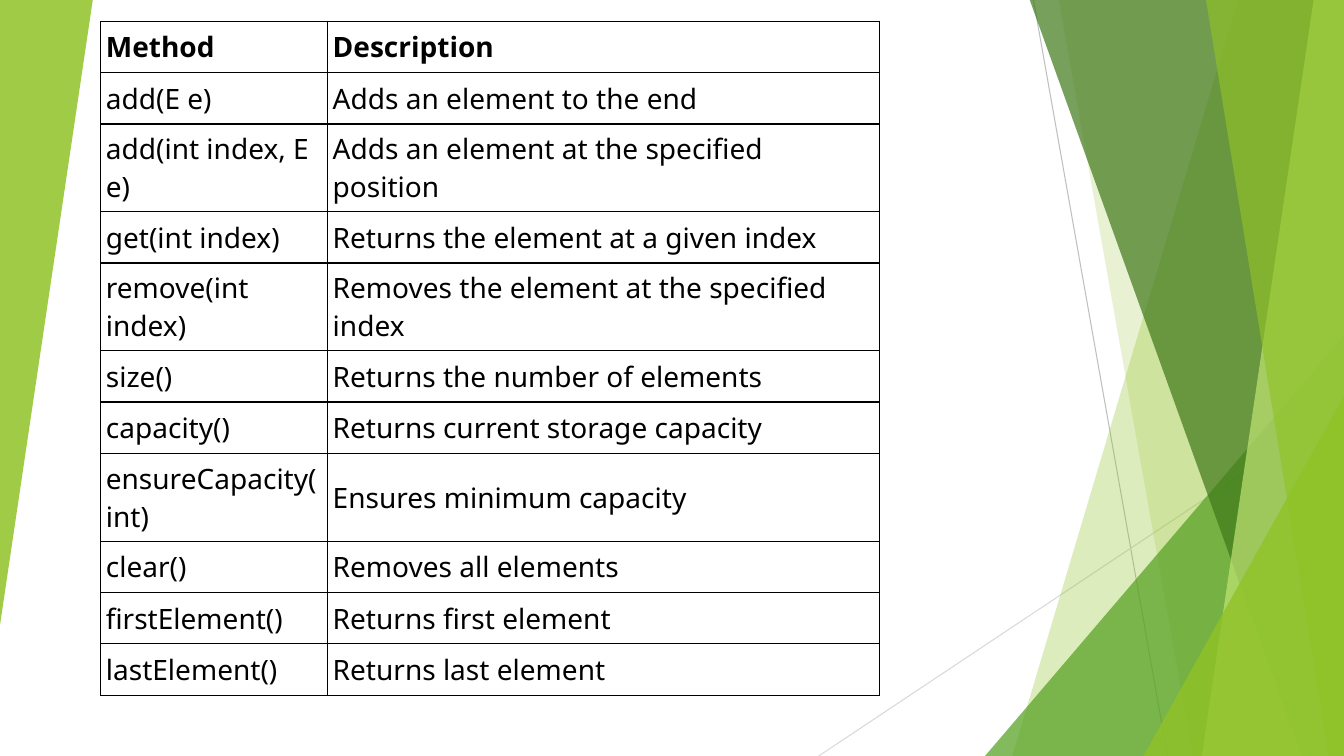
from dataclasses import dataclass

from lxml.etree import SubElement
from pptx import Presentation
from pptx.dml.color import RGBColor
from pptx.enum.shapes import MSO_CONNECTOR, MSO_SHAPE
from pptx.enum.text import MSO_ANCHOR
from pptx.oxml.ns import qn
from pptx.util import Pt

EMU_PER_PX = 9144
WIDTH, HEIGHT = 1333, 750


@dataclass(frozen=True)
class Theme:
    font: str = "Noto Sans"
    text_size: int = 20
    border_width: int = 1
    line_width: float = 0.75
    text: str = "000000"
    lime: str = "90C226"
    green: str = "54A021"
    forest: str = "3F7819"
    pale: str = "C0E474"
    gray: str = "BFBFBF"
    light_gray: str = "D9D9D9"


THEME = Theme()

METHODS = [
    ("Method", "Description"),
    ("add(E e)", "Adds an element to the end"),
    ("add(int index, E e)", "Adds an element at the specified position"),
    ("get(int index)", "Returns the element at a given index"),
    ("remove(int index)", "Removes the element at the specified index"),
    ("size()", "Returns the number of elements"),
    ("capacity()", "Returns current storage capacity"),
    ("ensureCapacity(int)", "Ensures minimum capacity"),
    ("clear()", "Removes all elements"),
    ("firstElement()", "Returns first element"),
    ("lastElement()", "Returns last element"),
]
COLUMN_WIDTHS = (225, 547)
ROW_HEIGHT, TALL_ROW_HEIGHT = 51, 87
TALL_ROWS = (2, 4, 7)


def px(*lengths):
    return [length * EMU_PER_PX for length in lengths]


def set_attributes(target, values):
    for name, value in values.items():
        setattr(target, name, value)


def paint(shape, color, opacity):
    shape.shadow.inherit = False
    shape.line.fill.background()
    shape.fill.solid()
    shape.fill.fore_color.rgb = RGBColor.from_string(color)
    color_element = shape.fill._xPr.find(qn("a:solidFill"))[0]
    SubElement(color_element, qn("a:alpha"), val=str(opacity * 1000))


def add_line(slide, start, end, color):
    connector = slide.shapes.add_connector(MSO_CONNECTOR.STRAIGHT, *px(*start, *end))
    connector.line.width = Pt(THEME.line_width)
    connector.line.color.rgb = RGBColor.from_string(color)
    SubElement(connector._element.spPr, qn("a:effectLst"))


def add_band(slide, top_left, bottom_left, color, opacity):
    builder = slide.shapes.build_freeform(top_left, -1, scale=EMU_PER_PX)
    corners = [(WIDTH, -1), (WIDTH, HEIGHT), (bottom_left, HEIGHT)]
    builder.add_line_segments(corners, close=True)
    paint(builder.convert_to_shape(), color, opacity)


def add_triangle(slide, box, color, opacity, rotation=0):
    triangle = slide.shapes.add_shape(MSO_SHAPE.ISOSCELES_TRIANGLE, *px(*box))
    triangle.adjustments[0] = 1.0
    triangle.rotation = rotation
    paint(triangle, color, opacity)


def add_borders(cell):
    properties = cell._tc.get_or_add_tcPr()
    for side in ("lnL", "lnR", "lnT", "lnB"):
        border = SubElement(properties, qn(f"a:{side}"), w=str(Pt(THEME.border_width)))
        fill = SubElement(border, qn("a:solidFill"))
        SubElement(fill, qn("a:srgbClr"), val=THEME.text)


def fill_cell(cell, text, bold):
    add_borders(cell)
    cell.fill.background()
    margin = px(5)[0]
    set_attributes(cell, {
        "margin_left": margin, "margin_right": margin,
        "margin_top": margin, "margin_bottom": margin,
        "vertical_anchor": MSO_ANCHOR.MIDDLE,
    })
    run = cell.text_frame.paragraphs[0].add_run()
    run.text = text
    set_attributes(run.font, {"name": THEME.font, "size": Pt(THEME.text_size), "bold": bold})
    run.font.color.rgb = RGBColor.from_string(THEME.text)


def add_method_table(slide, left, top):
    heights = [TALL_ROW_HEIGHT if index in TALL_ROWS else ROW_HEIGHT
               for index in range(len(METHODS))]
    box = px(left, top, sum(COLUMN_WIDTHS), sum(heights))
    table = slide.shapes.add_table(len(METHODS), len(COLUMN_WIDTHS), *box).table
    set_attributes(table, {"first_row": False, "horz_banding": False})
    for column, width in zip(table.columns, px(*COLUMN_WIDTHS)):
        column.width = width
    for row, height in zip(table.rows, px(*heights)):
        row.height = height
    for row_index, texts in enumerate(METHODS):
        for column_index, text in enumerate(texts):
            fill_cell(table.cell(row_index, column_index), text, bold=row_index == 0)


def add_decoration(slide):
    add_line(slide, (1025, 0), (1158, HEIGHT), THEME.gray)
    add_line(slide, (WIDTH, 403), (812, HEIGHT), THEME.light_gray)
    add_band(slide, 1228, 1004, THEME.lime, 30)
    add_band(slide, 1050, 1183, THEME.lime, 20)
    add_triangle(slide, (977, 333, 356, 417), THEME.green, 72)
    add_band(slide, 1021, 1291, THEME.forest, 70)
    add_band(slide, 1303, 1192, THEME.pale, 70)
    add_band(slide, 1196, 1318, THEME.lime, 65)
    add_triangle(slide, (1134, 393, 199, 357), THEME.lime, 80)
    add_triangle(slide, (0, 0, 92, 620), THEME.lime, 85, rotation=180)


def main():
    presentation = Presentation()
    width, height = px(WIDTH, HEIGHT)
    set_attributes(presentation, {"slide_width": width, "slide_height": height})
    slide = presentation.slides.add_slide(presentation.slide_layouts[6])
    add_decoration(slide)
    add_method_table(slide, 100, 21)
    presentation.save("out.pptx")


if __name__ == "__main__":
    main()
